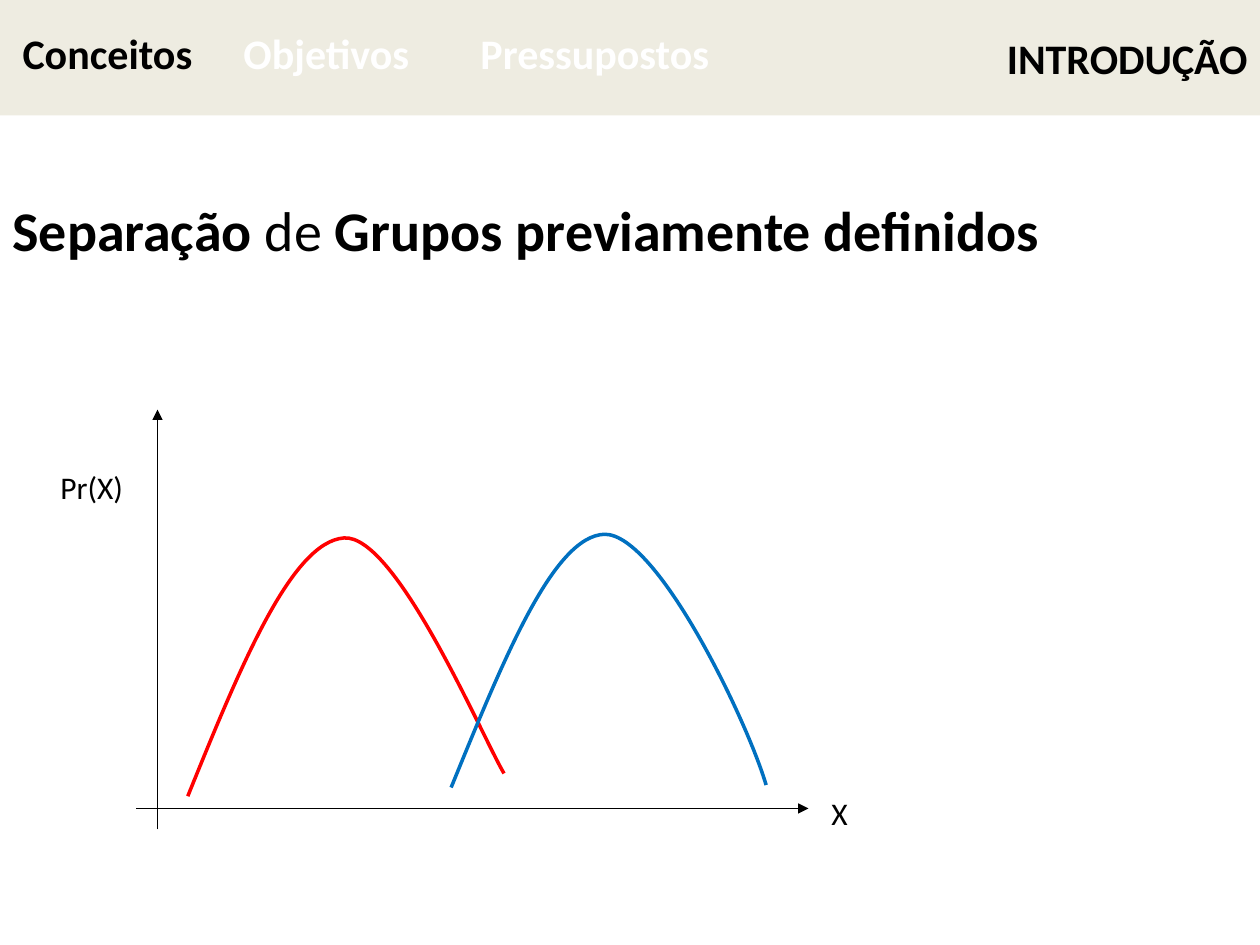
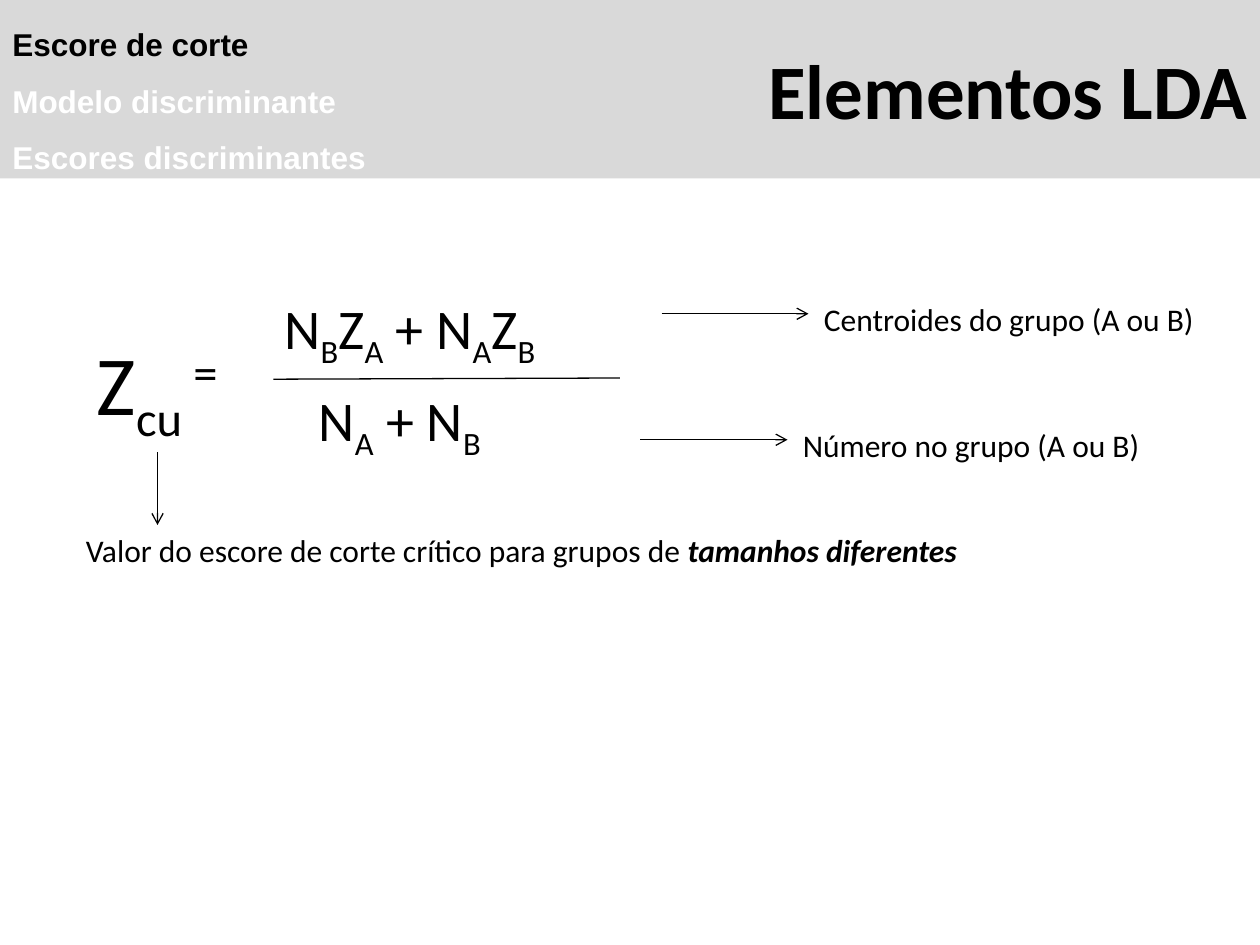
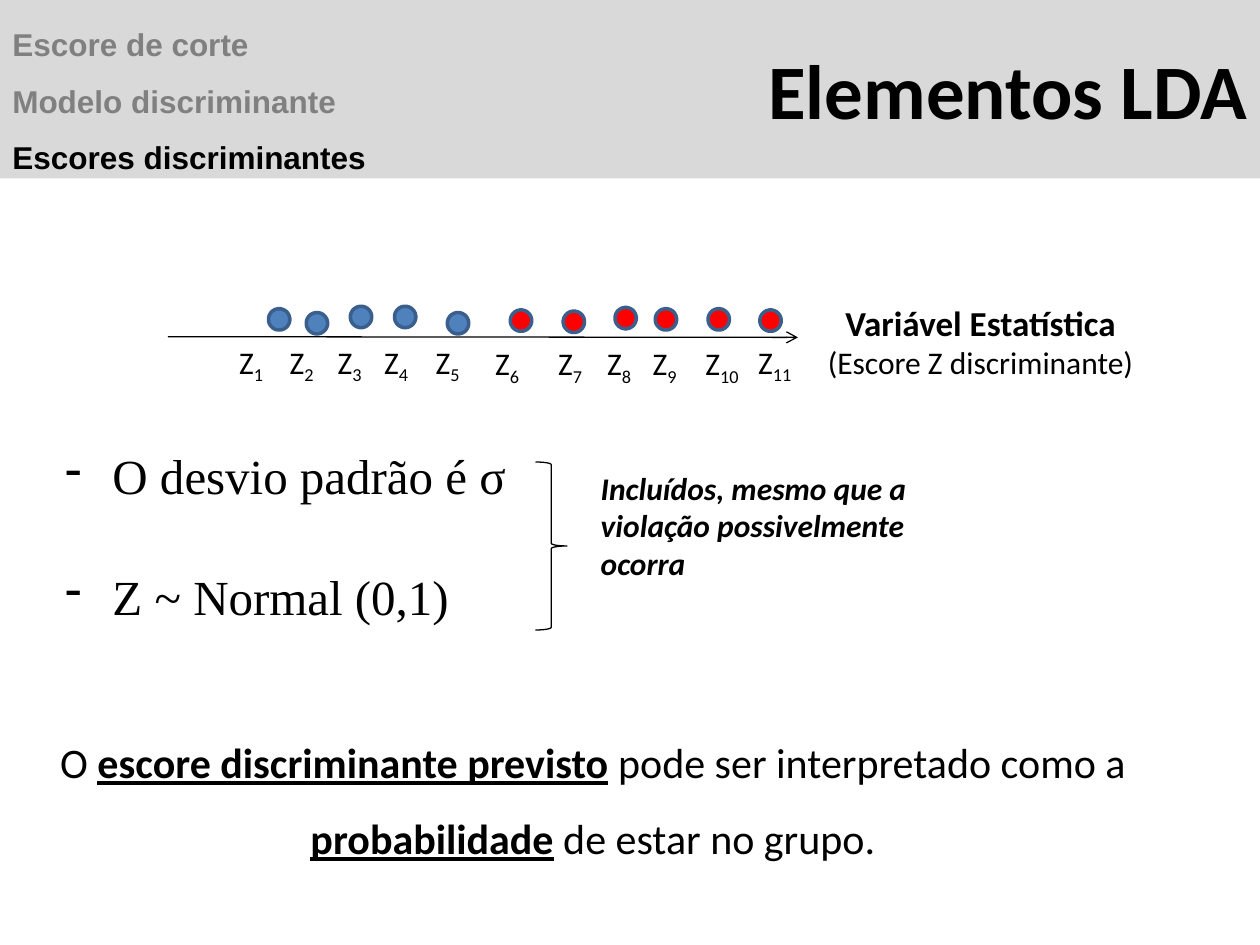
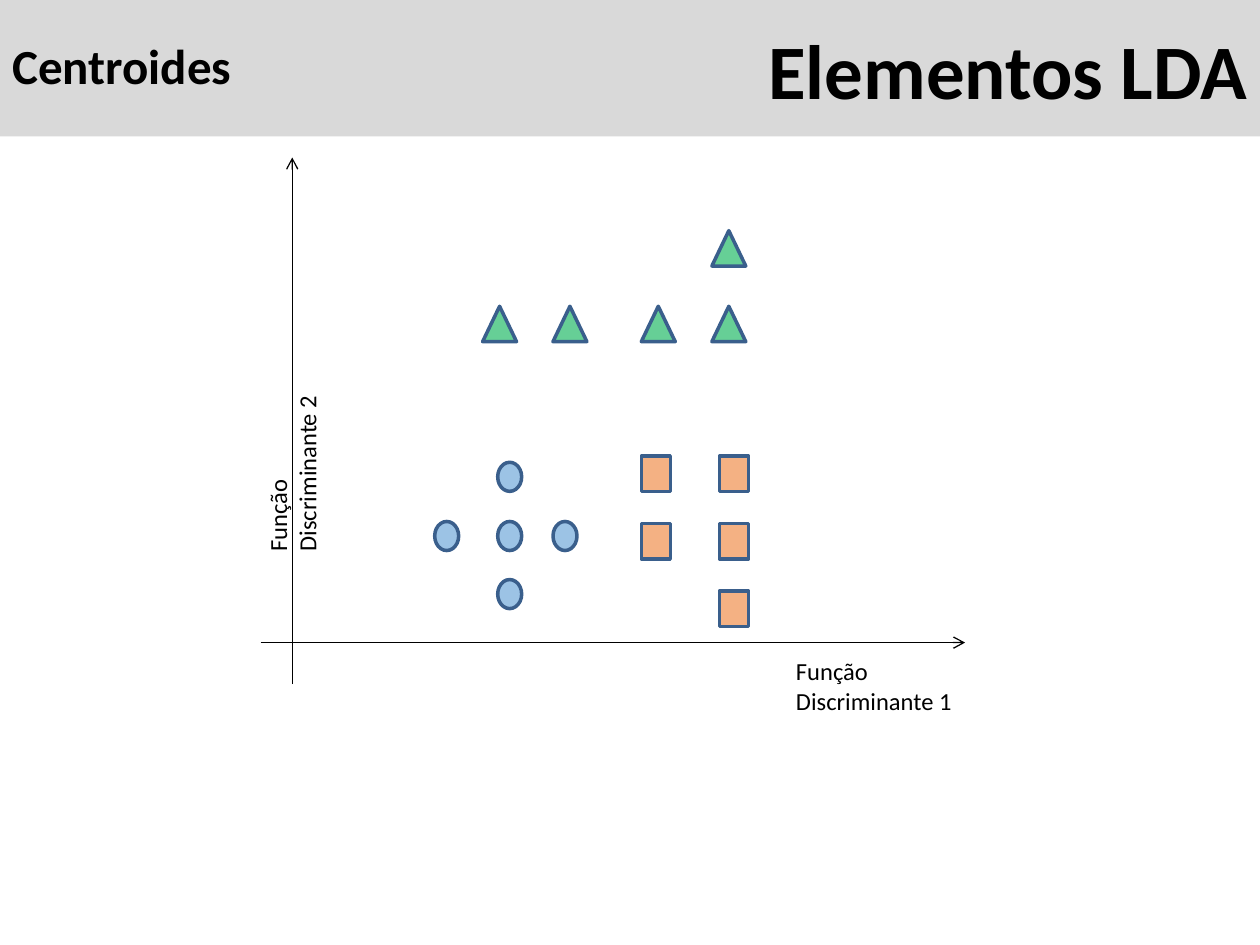
from lxml import etree
from pptx import Presentation
from pptx.dml.color import RGBColor
from pptx.enum import shapes, text
from pptx.oxml import ns
from pptx.util import Pt


class Theme:
    black = RGBColor(0x00, 0x00, 0x00)
    white = RGBColor(0xFF, 0xFF, 0xFF)
    muted = RGBColor(0x80, 0x80, 0x80)
    cream = RGBColor(0xEE, 0xEC, 0xE1)
    silver = RGBColor(0xD9, 0xD9, 0xD9)
    outline = RGBColor(0x3A, 0x5F, 0x8C)
    red = RGBColor(0xFF, 0x00, 0x00)
    curve_blue = RGBColor(0x00, 0x70, 0xC0)
    dot_blue = RGBColor(0x4F, 0x81, 0xBD)
    light_blue = RGBColor(0x5B, 0x9B, 0xD5)
    orange = RGBColor(0xED, 0x7D, 0x31)
    green = RGBColor(0x00, 0xB0, 0x50)
    font = "Calibri"
    outline_font = "Arial"
    serif = "Times New Roman"
    axis, label, caption, tab, section, formula, title, symbol = 14, 18, 20, 24, 28, 32, 44, 48
    thin, thick = 0.75, 2
    baselines = {"sub": "-25000", "sup": "30000"}


def add_text(page, frame, paragraphs, size, color=Theme.black, bold=False, align=None,
             spacing=None, font=Theme.font, fill=None, bullet=None):
    frame = [Pt(value) for value in frame]
    if fill is None:
        box = page.shapes.add_textbox(*frame)
    else:
        box = page.shapes.add_shape(shapes.MSO_SHAPE.RECTANGLE, *frame)
        box.shadow.inherit = False
        box.fill.solid()
        box.fill.fore_color.rgb = fill
        box.line.fill.background()
        box.text_frame.vertical_anchor = text.MSO_ANCHOR.MIDDLE
    box.text_frame.word_wrap = True
    for index, spans in enumerate(paragraphs):
        para = box.text_frame.paragraphs[0] if index == 0 else box.text_frame.add_paragraph()
        para.alignment = align or text.PP_ALIGN.LEFT
        if spacing:
            para.line_spacing = spacing
        if bullet:
            properties = para._p.get_or_add_pPr()
            properties.set("marL", str(Pt(27)))
            properties.set("indent", str(Pt(-27)))
            etree.SubElement(properties, ns.qn("a:buChar"), char=bullet)
        para.font.name = font
        para.font.size = Pt(size)
        para.font.color.rgb = color
        para.font.bold = bold
        for words, style in [(s, "") if isinstance(s, str) else s for s in spans]:
            span = para.add_run()
            span.text = words
            for name in style.split():
                if name in Theme.baselines:
                    span._r.get_or_add_rPr().set("baseline", Theme.baselines[name])
                else:
                    setattr(span.font, name, True)
    return box


def add_line(page, start, end, head=None):
    points = [Pt(value) for value in (*start, *end)]
    line = page.shapes.add_connector(shapes.MSO_CONNECTOR.STRAIGHT, *points)
    line.line.color.rgb = Theme.black
    line.line.width = Pt(Theme.thin)
    if head:
        etree.SubElement(line.line._get_or_add_ln(), ns.qn("a:tailEnd"), type=head)
    etree.SubElement(line._element.spPr, ns.qn("a:effectLst"))


deck = Presentation()
deck.slide_width, deck.slide_height = Pt(720), Pt(540)

bands = [
    ("INTRODUÇÃO", 66, Theme.cream, Theme.tab),
    ("Elementos LDA", 102, Theme.silver, Theme.title),
    ("Elementos LDA", 102, Theme.silver, Theme.title),
    ("Elementos LDA", 78, Theme.silver, Theme.title),
]
pages = []
for title, height, fill, size in bands:
    page = deck.slides.add_slide(deck.slide_layouts[6])
    add_text(page, (0, 0, 720, height), [[title]], size, bold=True,
             align=text.PP_ALIGN.RIGHT, fill=fill)
    pages.append(page)
intro, cutoff, scores, centroids = pages

# Introduction
tabs = [("Conceitos", 5.8, 114, Theme.black), ("Objetivos", 132, 114, Theme.white),
        ("Pressupostos", 267.5, 150, Theme.white)]
for name, left, width, color in tabs:
    add_text(intro, (left, 12, width, 36), [[name]], Theme.tab, color, bold=True)
add_text(intro, (0, 108, 718, 48),
         [[("Separação", "bold"), " de ", ("Grupos previamente definidos", "bold")]],
         Theme.formula)

curves = [
    (Theme.red, [(107.3, 455), (136.8, 382.3), (166.3, 309.6), (196.6, 307.4),
                 (226.1, 305.3), (274.3, 418.3), (288, 442)]),
    (Theme.curve_blue, [(257.8, 450), (287.3, 378), (316.1, 306), (345.6, 305.3),
                        (375.8, 305.3), (427, 411.8), (437.8, 448.6)]),
]
for color, points in curves:
    vertices = [(Pt(x), Pt(y)) for x, y in points]
    builder = intro.shapes.build_freeform(*vertices[0])
    builder.add_line_segments(vertices[1:], close=False)
    curve = builder.convert_to_shape()
    curve.shadow.inherit = False
    curve.fill.background()
    curve.line.color.rgb = color
    curve.line.width = Pt(Theme.thick)
    outline = curve._element.find(".//" + ns.qn("a:path"))
    segments = outline.findall(ns.qn("a:lnTo"))
    for first in range(0, len(segments), 3):
        bezier = etree.SubElement(outline, ns.qn("a:cubicBezTo"))
        for segment in segments[first:first + 3]:
            bezier.append(segment[0])
            outline.remove(segment)

add_line(intro, (77.8, 462), (462, 462), "triangle")
add_line(intro, (90, 474), (90, 234), "triangle")
add_text(intro, (468, 450, 27, 29), [["X"]], Theme.label)
add_text(intro, (27.4, 264, 57, 29), [["Pr(X)"]], Theme.label)

# Outline shared by the two score pages
topics = ["Escore de corte", "Modelo discriminante", "Escores discriminantes"]
for page, current, color in [(cutoff, 0, Theme.white), (scores, 2, Theme.muted)]:
    box = add_text(page, (0, 0, 360, 105), [[topic] for topic in topics], Theme.label, color,
                   bold=True, spacing=1.5, font=Theme.outline_font)
    box.text_frame.paragraphs[current].font.color.rgb = Theme.black

# Cut-off score
add_text(cutoff, (48.2, 186, 162, 66), [["Z", ("cu", "sub"), (" =", "sup")]], Theme.symbol)
add_text(cutoff, (155.5, 164.2, 199, 46),
         [["N", ("B", "sub"), "Z", ("A", "sub"), " + N", ("A", "sub"), "Z", ("B", "sub")]],
         Theme.formula)
add_line(cutoff, (156.2, 216.7), (354.2, 216))
add_text(cutoff, (175, 216.7, 149, 46), [["N", ("A", "sub"), " + N", ("B", "sub")]],
         Theme.formula)
add_line(cutoff, (90, 258.5), (90, 300), "arrow")
add_text(cutoff, (42, 300, 575, 29),
         [["Valor do escore de corte crítico para grupos de ",
           ("tamanhos diferentes", "bold italic")]], Theme.label)
for note, left, top in [("Centroides do grupo (A ou B)", 378, 179.3),
                        ("Número no grupo (A ou B)", 366, 251.3)]:
    add_line(cutoff, (left, top), (left + 84, top), "arrow")
    add_text(cutoff, (left + 85.7, top - 11.5, 250, 29), [[note]], Theme.label)

# Discriminant scores
add_line(scores, (96, 192.4), (456, 192.8), "arrow")
variable = add_text(scores, (454.3, 168.5, 212, 53),
                    [[("Variável Estatística", "bold")], ["(Escore Z discriminante)"]],
                    Theme.label, align=text.PP_ALIGN.CENTER)
variable.text_frame.paragraphs[0].font.size = Pt(Theme.caption)

observations = [
    (153.4, 176.4, 129.6), (175, 178.6, 158.4), (200.2, 175, 185.8), (225.4, 175, 212.4),
    (255.6, 178.6, 241.9), (291.6, 177.1, 275.8), (321.8, 177.8, 311.8),
    (351.4, 175.7, 339.8), (374.4, 176.4, 365.8), (404.6, 176.4, 396), (434.2, 177.1, 426.2),
]
for number, (left, top, label_left) in enumerate(observations, 1):
    dot = scores.shapes.add_shape(shapes.MSO_SHAPE.OVAL, Pt(left), Pt(top), Pt(12.24), Pt(12.24))
    dot.rotation = 37.8
    dot.shadow.inherit = False
    dot.fill.solid()
    dot.fill.fore_color.rgb = Theme.dot_blue if number <= 5 else Theme.red
    dot.line.color.rgb = Theme.outline
    dot.line.width = Pt(Theme.thick)
    label_top = 193 if 6 <= number <= 10 else 192.2
    add_text(scores, (label_left, label_top, 32.4 if number < 10 else 39, 29),
             [["Z", (str(number), "sub")]], Theme.label)

assumptions = add_text(scores, (30.2, 251.3, 360, 109),
                       [["O desvio padrão é σ"], ["Z ~ Normal (0,1)"]],
                       Theme.section, font=Theme.serif, bullet="-")
assumptions.text_frame.paragraphs[1].space_before = Pt(35)
brace = scores.shapes.add_shape(shapes.MSO_SHAPE.RIGHT_BRACE, Pt(306), Pt(264), Pt(18), Pt(96))
brace.shadow.inherit = False
brace.fill.background()
brace.line.color.rgb = Theme.black
brace.line.width = Pt(Theme.thin)
add_text(scores, (336.2, 264.2, 234, 73),
         [[("Incluídos, mesmo que a violação possivelmente ocorra", "bold italic")]], Theme.label)
add_text(scores, (23.8, 403.2, 630, 89),
         [["O ", ("escore discriminante previsto", "bold underline"),
           " pode ser interpretado como a ", ("probabilidade", "bold underline"),
           " de estar no grupo."]],
         Theme.tab, align=text.PP_ALIGN.CENTER, spacing=1.5)

# Centroids
add_text(centroids, (0, 0, 400, 66), [["Centroides"]], Theme.section, bold=True, spacing=1.5)
add_line(centroids, (167, 391), (167, 90), "arrow")
add_line(centroids, (149, 367.2), (551.5, 367.2), "arrow")
groups = [
    (shapes.MSO_SHAPE.OVAL, Theme.light_blue, 13.7, 16.6,
     [(284.4, 264.2), (284.4, 331.2), (284.4, 298), (316, 298), (248.4, 298)]),
    (shapes.MSO_SHAPE.RECTANGLE, Theme.orange, 16.6, 20.2,
     [(366.5, 260.6), (411.1, 260.6), (366.5, 299.2), (411.1, 299.2), (411.1, 337.7)]),
    (shapes.MSO_SHAPE.ISOSCELES_TRIANGLE, Theme.green, 19.4, 20.2,
     [(406.8, 131.8), (406.8, 175), (366.5, 175), (316, 175), (275.8, 175)]),
]
for kind, color, width, height, places in groups:
    for left, top in places:
        marker = centroids.shapes.add_shape(kind, Pt(left), Pt(top), Pt(width), Pt(height))
        marker.shadow.inherit = False
        marker.fill.solid()
        marker.fill.fore_color.rgb = color
        tint = marker._element.spPr.find(ns.qn("a:solidFill"))[0]
        etree.SubElement(tint, ns.qn("a:alpha"), val="60000")
        marker.line.color.rgb = Theme.outline
        marker.line.width = Pt(Theme.thick)
add_text(centroids, (447.8, 371.5, 122.4, 19.4), [["Função Discriminante 1"]], Theme.axis)
vertical = add_text(centroids, (90.7, 248.4, 129.6, 18), [["Função Discriminante 2"]], Theme.axis)
vertical.rotation = 270
vertical.text_frame.paragraphs[0].alignment = text.PP_ALIGN.LEFT

deck.save("out.pptx")
